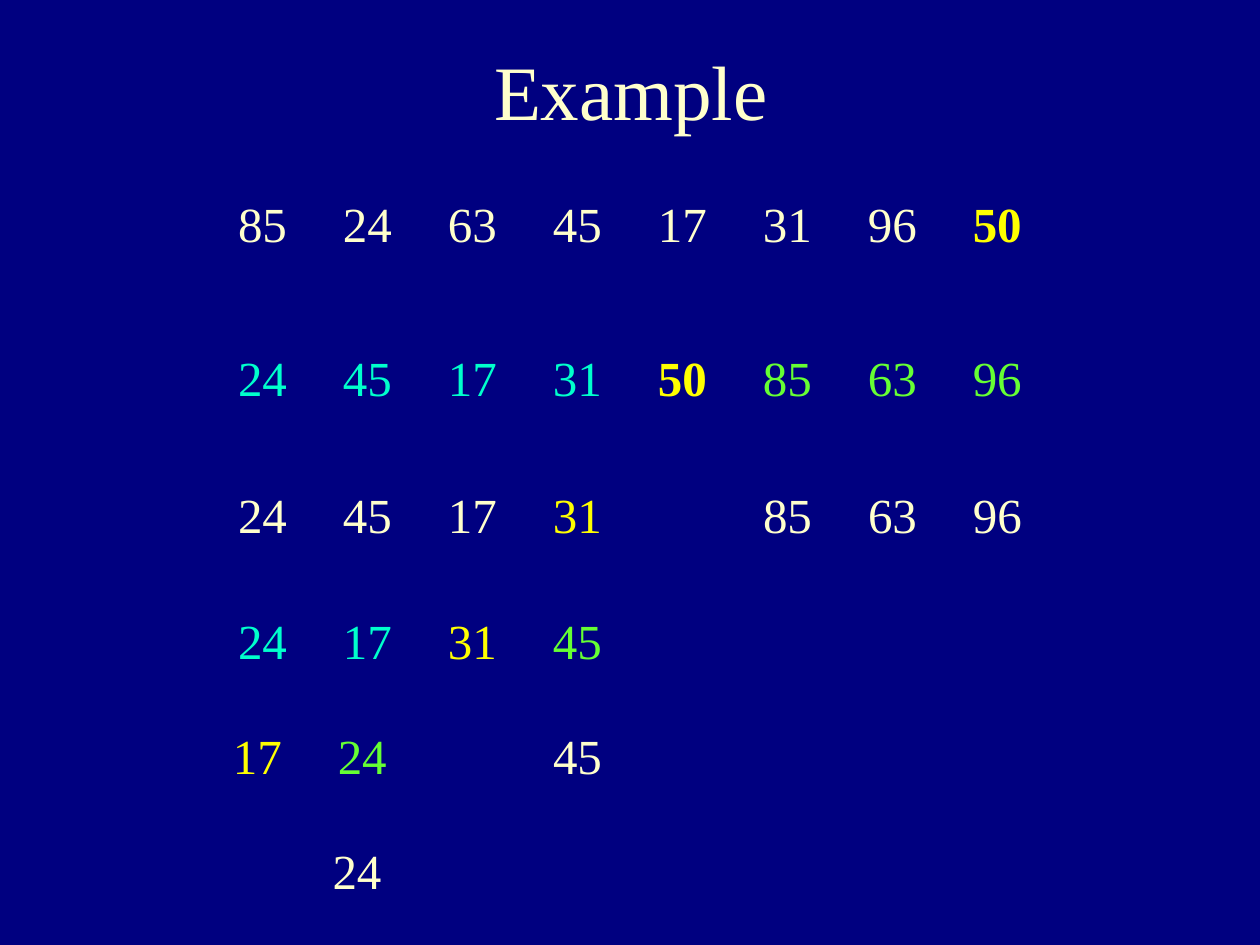
from dataclasses import dataclass

from pptx import Presentation
from pptx.dml.color import RGBColor
from pptx.enum.text import MSO_ANCHOR as Anchor, PP_ALIGN as Align
from pptx.oxml.ns import qn
from pptx.util import Inches, Pt
from lxml.etree import SubElement


@dataclass(frozen=True)
class Theme:
    """Colours, font and type sizes."""
    font: str = "Times New Roman"
    title: int = 44
    number: int = 28
    back: str = "000080"
    plain: str = "FFFFCC"
    pivot: str = "FFFF00"
    lower: str = "00FFCC"
    upper: str = "66FF33"


class SortingPage:
    """Style and current slide, on a grid of 12 columns and 90 rows."""

    def __init__(self, deck, theme):
        """Add a blank slide with the theme's background."""
        self.theme = theme
        self.page = deck.slides.add_slide(deck.slide_layouts[6])
        self.column = deck.slide_width / 12
        self.row = deck.slide_height / 90
        fill = self.page.background.fill
        fill.solid()
        fill.fore_color.rgb = RGBColor.from_string(theme.back)

    def place(self, left, top, width, height):
        """Turn grid units into lengths."""
        return [round(value * unit) for value, unit in
                zip((left, top, width, height), (self.column, self.row) * 2)]

    def set_line(self, frame, text, size, colour, bold=False):
        """Put one centred line into a text frame."""
        para = frame.paragraphs[0]
        para.alignment = Align.CENTER
        span = para.add_run()
        span.text = text
        formats = {"name": self.theme.font, "size": Pt(size), "bold": bold}
        for name, value in formats.items():
            setattr(span.font, name, value)
        span.font.color.rgb = RGBColor.from_string(colour)

    def title(self, text):
        """Add the heading across the top."""
        box = self.page.shapes.add_textbox(*self.place(0.18, 3.5, 11.66, 10))
        frame = box.text_frame
        formats = {"word_wrap": True, "vertical_anchor": Anchor.MIDDLE}
        for name, value in formats.items():
            setattr(frame, name, value)
        self.set_line(frame, text, self.theme.title, self.theme.plain)

    def clear(self, cell):
        """Remove a cell's borders and fill."""
        properties = cell._tc.get_or_add_tcPr()
        for side in ("lnL", "lnR", "lnT", "lnB"):
            line = SubElement(properties, qn(f"a:{side}"), w="0")
            SubElement(line, qn("a:noFill"))
        cell.fill.background()

    def numbers(self, left, top, groups, height=8, widths=None):
        """Add a one-row table from groups of numbers, each with its role."""
        items = [(number, role) for numbers, role in groups for number in numbers.split()]
        widths = widths or [1] * len(items)
        area = self.place(left, top, sum(widths), height)
        table = self.page.shapes.add_table(1, len(items), *area).table
        table.first_row = table.horz_banding = False
        for index, (number, role) in enumerate(items):
            table.columns[index].width = round(widths[index] * self.column)
            cell = table.cell(0, index)
            self.clear(cell)
            bold = number == "50"
            self.set_line(cell.text_frame, number, self.theme.number,
                          getattr(self.theme, role), bold)


def main():
    """Build the quicksort example and save it."""
    deck = Presentation()
    deck.slide_width, deck.slide_height = Inches(10), Inches(7.5)
    page = SortingPage(deck, Theme())
    page.title("Example")
    page.numbers(2, 18.36, [("85 24 63 45 17 31 96", "plain"), ("50", "pivot")], height=7.7)
    page.numbers(2, 33, [("24 45 17 31", "lower"), ("50", "pivot"), ("85 63 96", "upper")])
    page.numbers(2, 46, [("24 45 17", "plain"), ("31", "pivot")])
    page.numbers(7, 46, [("85 63 96", "plain")])
    page.numbers(2, 58, [("24 17", "lower"), ("31", "pivot"), ("45", "upper")])
    page.numbers(2, 69, [("17", "pivot"), ("24", "upper")], widths=[0.9, 1.1])
    page.numbers(5, 69, [("45", "plain")])
    page.numbers(2.9, 80, [("24", "plain")])
    deck.save("out.pptx")


if __name__ == "__main__":
    main()
